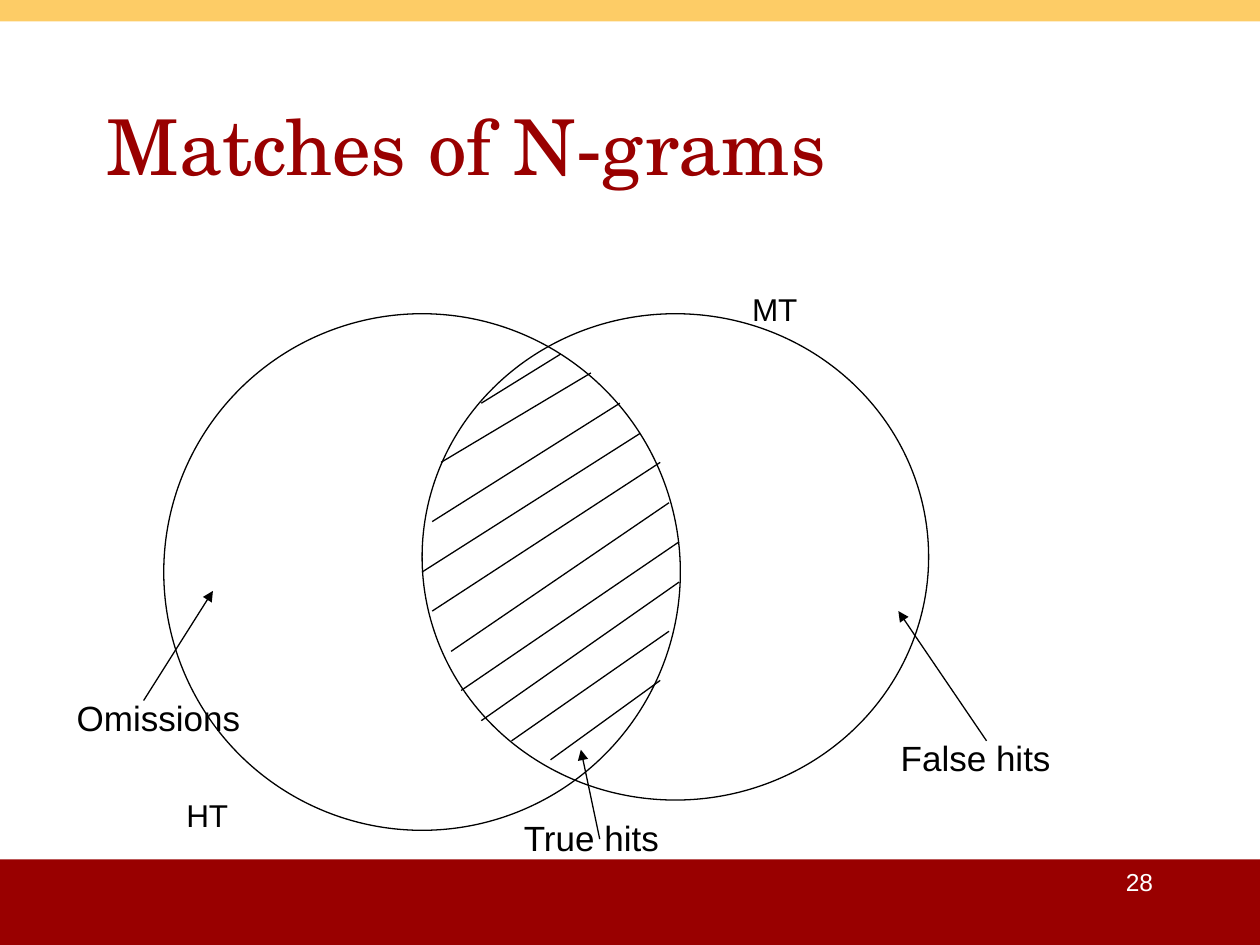
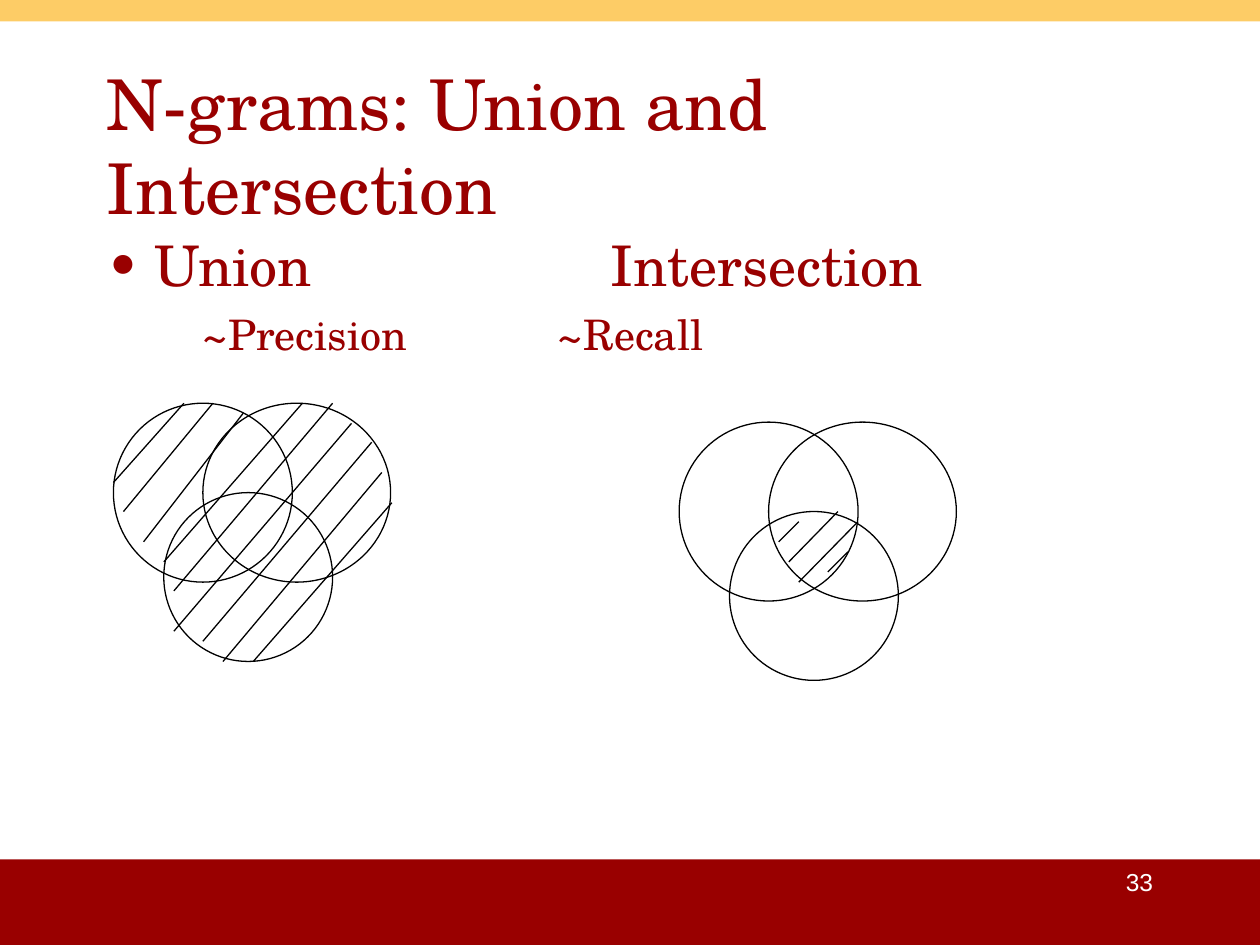
"""Build two slides on n-gram matches: a two-set and two three-set Venn diagrams."""
from typing import NamedTuple

from lxml.etree import SubElement
from pptx import Presentation
from pptx.dml.color import RGBColor
from pptx.enum.shapes import MSO_CONNECTOR as Connector, MSO_SHAPE as Preset
from pptx.enum.text import MSO_ANCHOR as Anchor, MSO_AUTO_SIZE as AutoSize, PP_ALIGN as Align
from pptx.oxml.ns import qn
from pptx.slide import Slide
from pptx.text.text import TextFrame
from pptx.util import Inches, Pt

RED = RGBColor(0x99, 0x00, 0x00)
GOLD = RGBColor(0xFD, 0xCC, 0x66)
BLACK = RGBColor(0x00, 0x00, 0x00)
WHITE = RGBColor(0xFF, 0xFF, 0xFF)
SERIF = "TeX Gyre Schola"
SANS = "Arial"
OUTLINE = Pt(0.75)


class Box(NamedTuple):
    """Left, top, width and height in inches."""
    left: float
    top: float
    width: float
    height: float


class Stroke(NamedTuple):
    """Start and end of a straight line in inches."""
    start_x: float
    start_y: float
    end_x: float
    end_y: float


class Label(NamedTuple):
    """A diagram label with its font size and space before in points."""
    text: str
    box: Box
    size: float
    space_before: float


class Entry(NamedTuple):
    """A body paragraph with its indents and tab stops in inches."""
    text: str
    size: float
    space_before: float
    margin: float
    indent: float
    tabs: tuple[float, ...]
    bullet: str = ""


BANDS = ((Box(0, 6.82, 10, 0.68), RED), (Box(0, 0, 10, 0.17), GOLD))
TITLE_BOX = Box(0.75, 0.52, 8.58, 1.25)
BODY_BOX = Box(0.75, 1.78, 8.5, 5.04)
NUMBER_BOX = Box(7.17, 6.83, 2.08, 0.5)

MATCH_SETS = (Box(1.3, 2.49, 4.1, 4.1), Box(3.35, 2.49, 4.02, 3.86))
MATCH_LABELS = (
    Label("HT", Box(1.38, 6.27, 0.79, 0.4), 18, 11.2),
    Label("MT", Box(5.87, 2.25, 0.79, 0.4), 18, 11.2),
    Label("True hits", Box(4.06, 6.43, 2.2, 0.44), 20, 12.5),
    Label("False hits", Box(7.05, 5.8, 2.2, 0.44), 20, 12.5),
    Label("Omissions", Box(0.51, 5.48, 2.44, 0.44), 20, 12.5),
)
MATCH_ARROWS = (
    Stroke(4.76, 6.66, 4.61, 5.95),
    Stroke(7.83, 5.88, 7.13, 4.85),
    Stroke(1.14, 5.56, 1.69, 4.69),
)
MATCH_HATCH = (
    Stroke(4.45, 2.81, 3.82, 3.2),
    Stroke(4.69, 2.96, 3.5, 3.67),
    Stroke(4.92, 3.2, 3.43, 4.14),
    Stroke(5.08, 3.44, 3.35, 4.54),
    Stroke(5.24, 3.67, 3.43, 4.85),
    Stroke(5.31, 3.99, 3.58, 5.17),
    Stroke(5.39, 4.3, 3.66, 5.48),
    Stroke(5.39, 4.62, 3.82, 5.72),
    Stroke(5.31, 5.01, 4.06, 5.88),
    Stroke(5.24, 5.4, 4.37, 6.03),
)

TRIPLE_SETS = (Box(0, 0, 1.42, 1.42), Box(0.71, 0, 1.49, 1.42), Box(0.4, 0.71, 1.34, 1.34))
UNION_HATCH = (
    Stroke(1.46, 3.2, 0.9, 3.83),
    Stroke(1.69, 3.2, 0.98, 4.06),
    Stroke(1.93, 3.28, 1.14, 4.3),
    Stroke(2.4, 3.2, 1.3, 4.46),
    Stroke(2.64, 3.2, 1.38, 4.69),
    Stroke(2.79, 3.36, 1.38, 5.01),
    Stroke(2.95, 3.51, 1.61, 5.09),
    Stroke(3.03, 3.75, 1.77, 5.25),
    Stroke(3.11, 3.99, 2.01, 5.25),
)
INTERSECTION_HATCH = (
    Stroke(6.34, 4.14, 6.18, 4.3),
    Stroke(6.65, 4.06, 6.26, 4.46),
    Stroke(6.81, 4.14, 6.34, 4.62),
    Stroke(6.73, 4.38, 6.57, 4.54),
)
BODY_ENTRIES = (
    Entry("Union \t\t\tIntersection", 32, 8, 0.38, -0.38, (0.62, 1.62, 2.62, 3.62), "•"),
    Entry("~Precision\t\t\t~Recall", 24, 6, 1.08, -0.32, (2, 3, 4)),
)


def inches(values: tuple[float, ...]) -> list[Inches]:
    """Convert numbers to lengths."""
    return [Inches(value) for value in values]


def add_frame(slide: Slide, box: Box) -> TextFrame:
    """Add a wrapping text box and return its text frame."""
    frame = slide.shapes.add_textbox(*inches(box)).text_frame
    frame.word_wrap = True
    return frame


def add_run(paragraph, text: str, size: float, font: str, color: RGBColor) -> None:
    """Add one formatted run to a paragraph."""
    run = paragraph.add_run()
    run.text = text
    run.font.size = Pt(size)
    run.font.name = font
    run.font.color.rgb = color


def add_shape(slide: Slide, preset: Preset, box: Box, fill: RGBColor | None = None) -> None:
    """Add a filled shape without outline, or an outlined one without fill."""
    shape = slide.shapes.add_shape(preset, *inches(box))
    shape.shadow.inherit = False
    if fill is not None:
        shape.fill.solid()
        shape.fill.fore_color.rgb = fill
        shape.line.fill.background()
    else:
        shape.fill.background()
        shape.line.color.rgb = BLACK
        shape.line.width = OUTLINE


def add_stroke(slide: Slide, stroke: Stroke, arrow: bool = False) -> None:
    """Add a thin straight line, with an arrowhead at its end on request."""
    connector = slide.shapes.add_connector(Connector.STRAIGHT, *inches(stroke))
    connector.line.color.rgb = BLACK
    connector.line.width = OUTLINE
    properties = connector._element.spPr
    if arrow:
        SubElement(properties.find(qn("a:ln")), qn("a:tailEnd"), type="triangle")
    SubElement(properties, qn("a:effectLst"))


def add_label(slide: Slide, label: Label) -> None:
    """Add a diagram label."""
    frame = add_frame(slide, label.box)
    frame.auto_size = AutoSize.SHAPE_TO_FIT_TEXT
    paragraph = frame.paragraphs[0]
    paragraph.space_before = Pt(label.space_before)
    add_run(paragraph, label.text, label.size, SANS, BLACK)


def add_body(slide: Slide, entries: tuple[Entry, ...]) -> None:
    """Add the body text with indents, bullets and tab stops."""
    frame = add_frame(slide, BODY_BOX)
    for index, entry in enumerate(entries):
        paragraph = frame.add_paragraph() if index else frame.paragraphs[0]
        paragraph.space_before = Pt(entry.space_before)
        properties = paragraph._p.get_or_add_pPr()
        properties.set("marL", str(Inches(entry.margin)))
        properties.set("indent", str(Inches(entry.indent)))
        if entry.bullet:
            color = SubElement(properties, qn("a:buClr"))
            SubElement(color, qn("a:srgbClr"), val=str(RED))
            SubElement(properties, qn("a:buFont"), typeface=SERIF)
            SubElement(properties, qn("a:buChar"), char=entry.bullet)
        else:
            SubElement(properties, qn("a:buNone"))
        tab_list = SubElement(properties, qn("a:tabLst"))
        for tab in entry.tabs:
            SubElement(tab_list, qn("a:tab"), pos=str(Inches(tab)), algn="l")
        add_run(paragraph, entry.text, entry.size, SERIF, RED)


def add_triple_venn(slide: Slide, left: float, top: float, hatch: tuple[Stroke, ...]) -> None:
    """Add three overlapping sets and their hatching."""
    for circle in TRIPLE_SETS:
        box = circle._replace(left=left + circle.left, top=top + circle.top)
        add_shape(slide, Preset.OVAL, box)
    for stroke in hatch:
        add_stroke(slide, stroke)


def add_base_slide(presentation, title: str, title_size: float, number: int) -> Slide:
    """Add a slide with bands, title and slide number."""
    slide = presentation.slides.add_slide(presentation.slide_layouts[6])
    for box, color in BANDS:
        add_shape(slide, Preset.RECTANGLE, box, color)
    frame = add_frame(slide, TITLE_BOX)
    frame.vertical_anchor = Anchor.MIDDLE
    add_run(frame.paragraphs[0], title, title_size, SERIF, RED)
    paragraph = add_frame(slide, NUMBER_BOX).paragraphs[0]
    paragraph.alignment = Align.RIGHT
    add_run(paragraph, str(number), 14, SANS, WHITE)
    return slide


def build_matches(presentation) -> None:
    """Build the slide with true hits, false hits and omissions."""
    slide = add_base_slide(presentation, "Matches of N-grams", 44, 28)
    for circle in MATCH_SETS:
        add_shape(slide, Preset.OVAL, circle)
    for stroke in MATCH_HATCH:
        add_stroke(slide, stroke)
    for label in MATCH_LABELS:
        add_label(slide, label)
    for arrow in MATCH_ARROWS:
        add_stroke(slide, arrow, arrow=True)


def build_union_intersection(presentation) -> None:
    """Build the slide comparing union and intersection."""
    slide = add_base_slide(presentation, "N-grams: Union and Intersection", 40, 33)
    add_body(slide, BODY_ENTRIES)
    add_triple_venn(slide, 0.9, 3.2, UNION_HATCH)
    add_triple_venn(slide, 5.39, 3.35, INTERSECTION_HATCH)


def main() -> None:
    """Build and save the presentation."""
    presentation = Presentation()
    presentation.slide_width = Inches(10)
    presentation.slide_height = Inches(7.5)
    build_matches(presentation)
    build_union_intersection(presentation)
    presentation.save("out.pptx")


if __name__ == "__main__":
    main()
